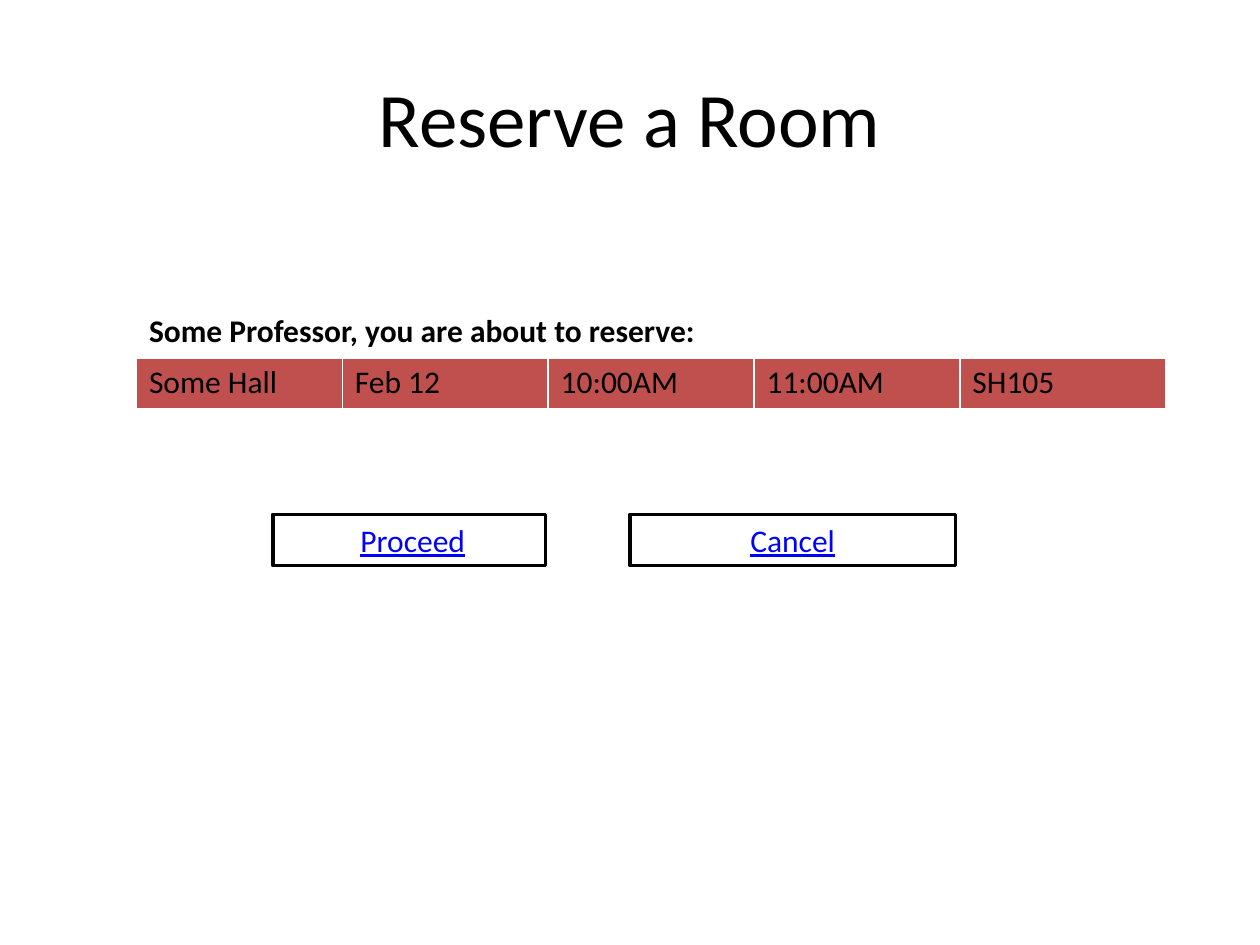
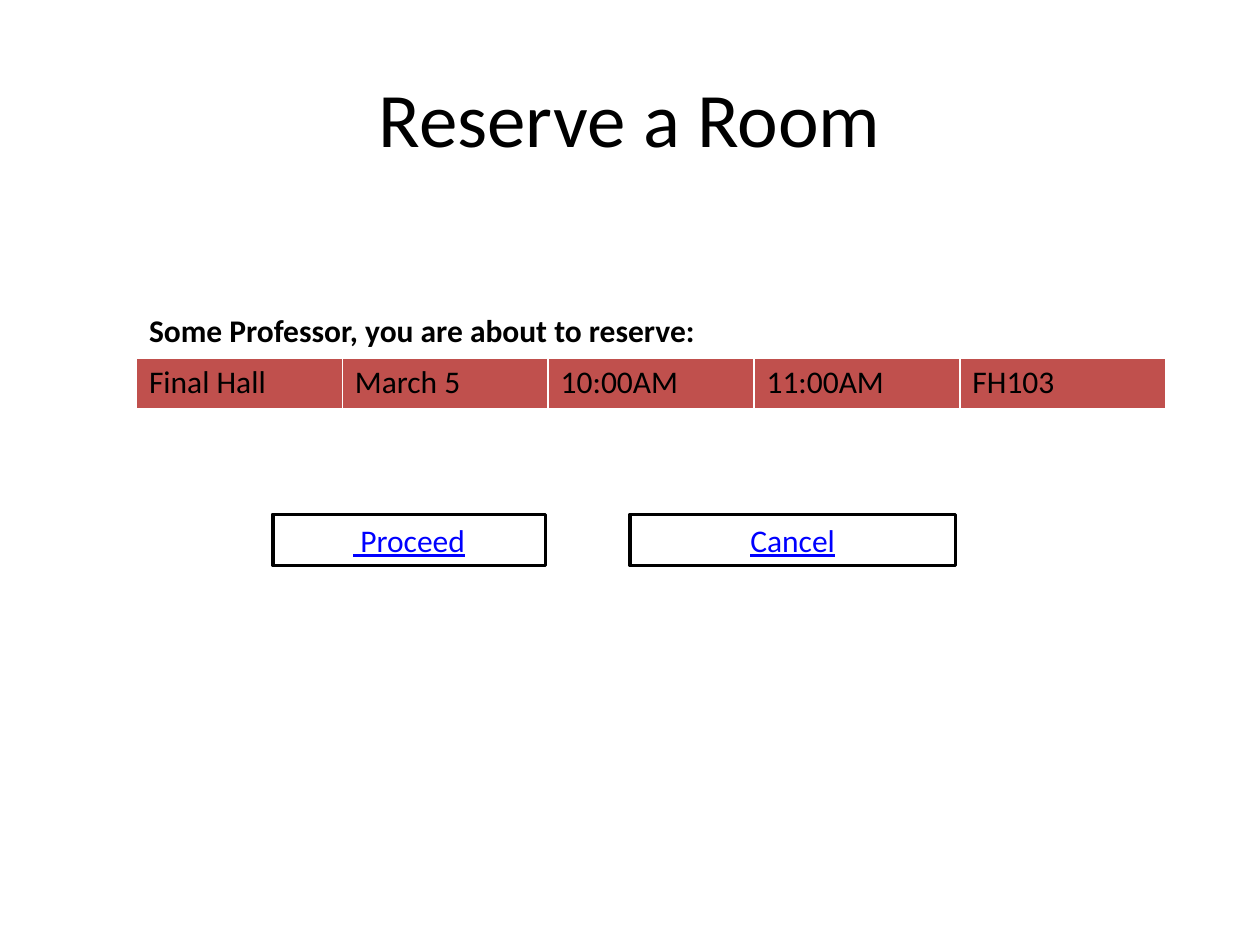
from lxml.etree import SubElement
from pptx import Presentation
from pptx.dml.color import RGBColor
from pptx.enum.shapes import MSO_SHAPE as Shape
from pptx.enum.text import MSO_ANCHOR as Anchor, MSO_AUTO_SIZE as AutoSize, PP_ALIGN as Align
from pptx.oxml.ns import qn
from pptx.util import Cm, Pt


def colour(code):
    return RGBColor.from_string(code)


class Booking:
    FONT = "Calibri"
    INK, PAPER, LINK, ROW = "000000", "FFFFFF", "0000FF", "C0504D"
    TITLE_SIZE, BODY_SIZE = 44, 18

    def __init__(self, deck):
        self.deck = deck
        self.page = None

    def new_page(self):
        self.page = self.deck.slides.add_slide(self.deck.slide_layouts[6])

    def style(self, span, size=BODY_SIZE, code=INK, bold=False, underline=False):
        span.font.name = self.FONT
        span.font.size = Pt(size)
        span.font.bold = bold
        span.font.underline = underline
        span.font.color.rgb = colour(code)

    def title(self, text):
        box = self.page.shapes.add_textbox(Cm(1.27), Cm(0.76), Cm(22.86), Cm(3.18))
        frame = box.text_frame
        frame.word_wrap = True
        frame.vertical_anchor = Anchor.MIDDLE
        frame.text = text
        para = frame.paragraphs[0]
        para.alignment = Align.CENTER
        self.style(para.runs[0], self.TITLE_SIZE)

    def cell(self, cell, text, fill=None, bold=False, bottom=1):
        cell.text_frame.text = text
        for span in cell.text_frame.paragraphs[0].runs:
            self.style(span, bold=bold)
        properties = cell._tc.get_or_add_tcPr()
        for side, points in (("L", 1), ("R", 1), ("T", 1), ("B", bottom)):
            border = SubElement(properties, qn("a:ln" + side), w=str(Pt(points)))
            paint = SubElement(border, qn("a:solidFill"))
            SubElement(paint, qn("a:srgbClr"), val=self.PAPER)
        if fill:
            cell.fill.solid()
            cell.fill.fore_color.rgb = colour(fill)
        else:
            cell.fill.background()

    def table(self, heading, values):
        holder = self.page.shapes.add_table(
            2, len(values), Cm(2.75), Cm(6.17), Cm(20.75), Cm(2.06))
        table = holder.table
        table.first_row = False
        table.horz_banding = False
        for column, value in enumerate(values):
            self.cell(table.cell(0, column), "" if column else heading, bold=True, bottom=3)
            self.cell(table.cell(1, column), value, fill=self.ROW)
        table.cell(0, 0).merge(table.cell(0, len(values) - 1))

    def button(self, left, width, label, lead=""):
        box = self.page.shapes.add_shape(
            Shape.RECTANGLE, Cm(left), Cm(10.37), Cm(width), Cm(1.03))
        box.shadow.inherit = False
        box.fill.solid()
        box.fill.fore_color.rgb = colour(self.PAPER)
        box.line.color.rgb = colour(self.INK)
        box.line.width = Pt(2)
        frame = box.text_frame
        frame.word_wrap = True
        frame.auto_size = AutoSize.SHAPE_TO_FIT_TEXT
        frame.vertical_anchor = Anchor.TOP
        frame.text = lead
        para = frame.paragraphs[0]
        para.alignment = Align.CENTER
        for span in para.runs:
            self.style(span)
        link = para.add_run()
        link.text = label
        self.style(link, code=self.LINK, underline=True)


deck = Presentation()
deck.slide_width, deck.slide_height = Cm(25.4), Cm(19.05)
booking = Booking(deck)

reservations = [
    (["Some Hall", "Feb 12", "10:00AM", "11:00AM", "SH105"], "Proceed", " "),
    (["Final Hall", "March 5", "10:00AM", "11:00AM", "FH103"], " Proceed", ""),
]
for details, proceed, lead in reservations:
    booking.new_page()
    booking.title("Reserve a Room")
    booking.table("Some Professor, you are about to reserve:", details)
    booking.button(5.5, 5.5, proceed, lead)
    booking.button(12.7, 6.56, "Cancel")

deck.save("out.pptx")
